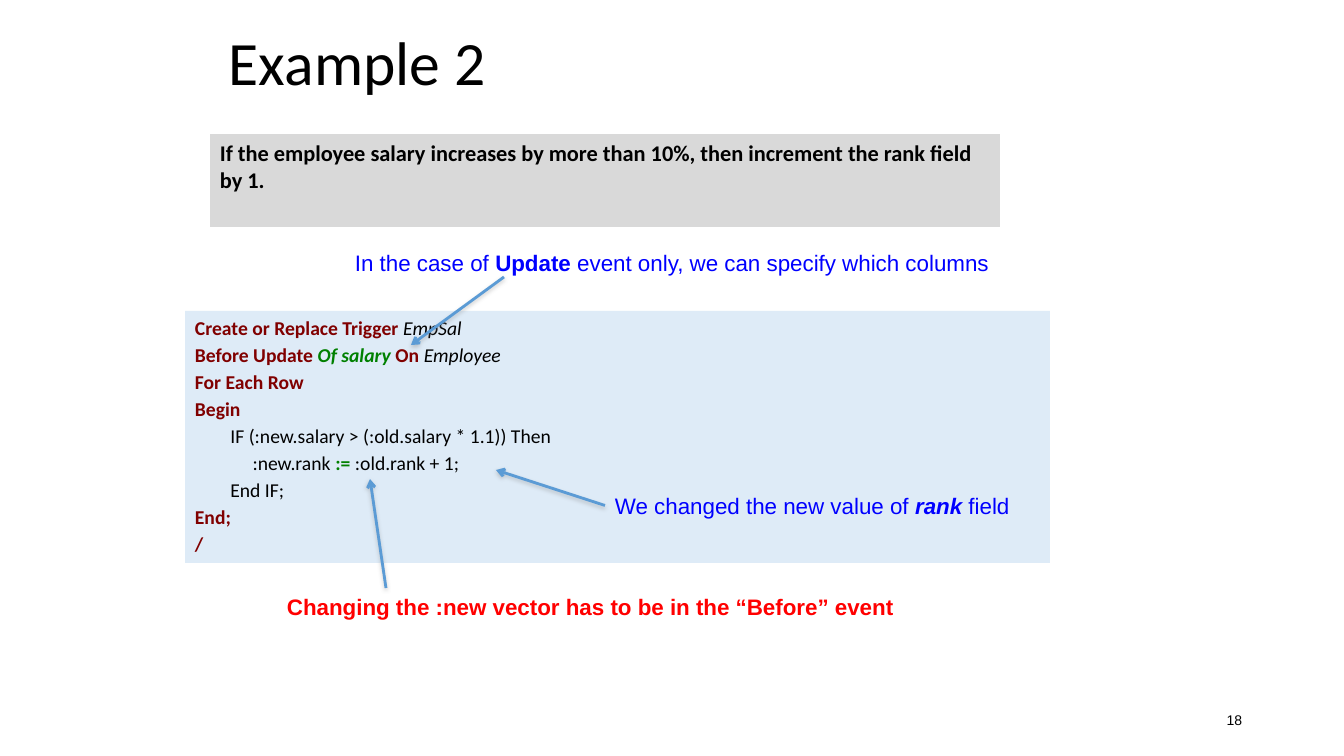
"""Builds the slide "Example 2": an annotated SQL trigger."""
from lxml import etree
from pptx import Presentation
from pptx.dml.color import RGBColor
from pptx.enum.shapes import MSO_CONNECTOR, MSO_SHAPE
from pptx.enum.text import MSO_ANCHOR as ANCHOR, MSO_AUTO_SIZE as AUTO, PP_ALIGN as ALIGN
from pptx.oxml import parse_xml
from pptx.oxml.ns import nsdecls, qn
from pptx.util import Pt

PX = 914400 / 100.8
C = {"black": "000000", "grey": "D9D9D9", "pale": "DEEBF7", "maroon": "800000",
     "green": "008000", "blue": "0000FF", "red": "FF0000", "arrow": "5B9BD5"}


def px(*lengths):
    return [round(n * PX) for n in lengths]


def write(tf, lines, size, font, gap=0):
    for i, runs in enumerate(lines):
        p = tf.paragraphs[0] if i == 0 else tf.add_paragraph()
        p.alignment = ALIGN.LEFT
        if i:
            p.space_before = Pt(gap)
        for text, color, style in runs:
            r = p.add_run()
            r.text = text
            r.font.size, r.font.name = Pt(size), font
            r.font.bold, r.font.italic = "b" in style, "i" in style
            r.font.color.rgb = RGBColor.from_string(C[color])


prs = Presentation()
prs.slide_width, prs.slide_height = px(1344, 756)
slide = prs.slides.add_slide(prs.slide_layouts[6])
shapes = slide.shapes

labels = [
    ((219, 13, 832, 104), "Example 2", 44, "Calibri", ALIGN.LEFT),
    ((950, 701, 302, 40), "18", 10, "Arial", ALIGN.RIGHT),
]
for box, text, size, font, align in labels:
    tf = shapes.add_textbox(*px(*box)).text_frame
    tf.word_wrap = True
    tf.vertical_anchor = ANCHOR.MIDDLE
    write(tf, [[(text, "black", "")]], size, font)
    tf.paragraphs[0].alignment = align
    tf.paragraphs[0].line_spacing = 0.9

task = [[("If the employee salary increases by more than 10%, "
          "then increment the rank field by 1.", "black", "b")]]
code = [
    [("Create or Replace Trigger ", "maroon", "b"), ("EmpSal", "black", "i")],
    [("Before Update ", "maroon", "b"), ("Of salary", "green", "bi"),
     (" On ", "maroon", "b"), ("Employee", "black", "i")],
    [("For Each Row", "maroon", "b")],
    [("Begin", "maroon", "b")],
    [("        IF (:new.salary > (:old.salary * 1.1)) Then", "black", "")],
    [("             :new.rank ", "black", ""), (":= ", "green", "b"),
     (":old.rank + 1;", "black", "")],
    [("        End IF;", "black", "")],
    [("End;", "maroon", "b")],
    [("/", "maroon", "b")],
]
panels = [((210, 134, 790, 93), "grey", task, 16),
          ((185, 311, 865, 252), "pale", code, 14)]
for box, fill, lines, size in panels:
    sp = shapes.add_shape(MSO_SHAPE.RECTANGLE, *px(*box))
    sp.shadow.inherit = False
    sp.fill.solid()
    sp.fill.fore_color.rgb = RGBColor.from_string(C[fill])
    sp.line.fill.background()
    tf = sp.text_frame
    tf.word_wrap = True
    tf.vertical_anchor = ANCHOR.TOP
    write(tf, lines, size, "Calibri", 2.5)

notes = [
    ((345, 244, 662, 37), (504, 277, 411, 345), None,
     [("In the case of ", "blue", ""), ("Update", "blue", "b"),
      (" event only, we can specify which columns", "blue", "")]),
    ((605, 487, 426, 37), (605, 505, 496, 470), 1,
     [("We changed the new value of ", "blue", ""), ("rank", "blue", "bi"),
      (" field", "blue", "")]),
    ((277, 588, 635, 37), (386, 588, 370, 479), None,
     [("Changing the :new vector has to be in the “Before” event", "red", "b")]),
]
for box, ends, side, runs in notes:
    arrow = shapes.add_connector(MSO_CONNECTOR.STRAIGHT, *px(*ends))
    arrow.line.color.rgb = RGBColor.from_string(C["arrow"])
    arrow.line.width = Pt(2)
    etree.SubElement(arrow.line._get_or_add_ln(), qn("a:tailEnd"), type="arrow")
    arrow._element.spPr.append(parse_xml(
        f'<a:effectLst {nsdecls("a")}><a:outerShdw blurRad="39370" dist="20320" dir="5400000">'
        '<a:srgbClr val="808080"><a:alpha val="38000"/></a:srgbClr>'
        '</a:outerShdw></a:effectLst>'))
    sp = shapes.add_textbox(*px(*box))
    tf = sp.text_frame
    tf.word_wrap = False
    tf.auto_size = AUTO.SHAPE_TO_FIT_TEXT
    write(tf, [runs], 16, "Arial")
    if side is not None:
        arrow.begin_connect(sp, side)

prs.save("out.pptx")
